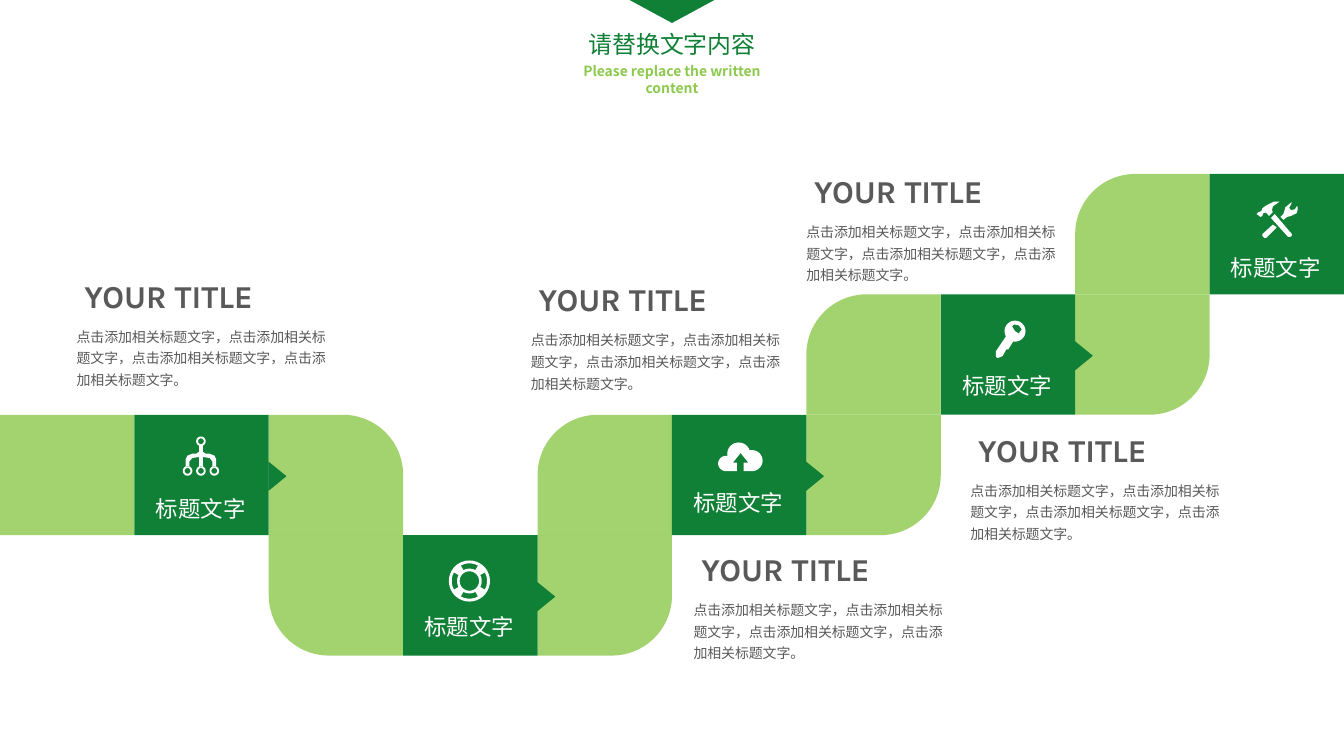
import math
import pptx
import pptx.util
import pptx.dml.color
import pptx.enum.shapes
import pptx.enum.text
import pptx.oxml.ns
import lxml.etree

Inches = pptx.util.Inches
Pt = pptx.util.Pt
qn = pptx.oxml.ns.qn
MSO = pptx.enum.shapes.MSO_SHAPE
ALIGN = pptx.enum.text.PP_ALIGN
ANCHOR = pptx.enum.text.MSO_ANCHOR

W, H = 14.06, 7.91
COL, ROW, TOP = W / 10, 1.26, 1.82
DARK, LIGHT, GREY, WHITE = "108036", "8CC94C", "595959", "FFFFFF"
CJK = "Noto Sans CJK SC"
BODY = "点击添加相关标题文字，" * 3 + "点击添加相关标题文字。"


def col(n):
    return Inches(n * COL)


def row(n):
    return Inches(TOP + n * ROW)


def rgb(value):
    return pptx.dml.color.RGBColor.from_string(value)


def paint(sp, color, alpha=100):
    sp.shadow.inherit = False
    sp.fill.solid()
    sp.fill.fore_color.rgb = rgb(color)
    sp.line.fill.background()
    if alpha < 100:
        clr = sp._element.spPr.find(".//" + qn("a:srgbClr"))
        lxml.etree.SubElement(clr, qn("a:alpha"), val=str(alpha * 1000))


def add_tile(s, c, r, color=DARK, alpha=100):
    sp = s.shapes.add_shape(MSO.RECTANGLE, col(c), row(r), col(1), Inches(ROW))
    paint(sp, color, alpha)


def add_bend(s, c, r, flip):
    sp = s.shapes.add_shape(MSO.ROUND_1_RECTANGLE, col(c), row(r), col(1), Inches(ROW))
    sp.adjustments[0] = 0.5
    paint(sp, LIGHT, 80)
    xfrm = sp._element.spPr.find(qn("a:xfrm"))
    for axis in flip:
        xfrm.set("flip" + axis, "1")


def add_triangle(s, cx, cy, w, h, angle):
    sp = s.shapes.add_shape(MSO.ISOSCELES_TRIANGLE, cx - w // 2, cy - h // 2, w, h)
    sp.rotation = angle
    paint(sp, DARK)


def arc(cx, cy, radius, start, end):
    steps = max(4, int(abs(end - start) / 10))
    angles = [math.radians(start + (end - start) * i / steps) for i in range(steps + 1)]
    return [(cx + radius * math.cos(a), cy + radius * math.sin(a)) for a in angles]


def circle(cx, cy, radius):
    return arc(cx, cy, radius, 0, 360)


def tree_icon():
    half = [(21, 9.5), (21, 16), (24, 18), (28, 18), (33, 20), (35, 24), (35, 31.5),
            (31, 31.5), (31, 26), (28, 22.5), (21, 21.5), (21, 31.5)]
    nodes = [(19, 5), (5, 36), (19, 36), (33, 36)]
    rings = [circle(x, y, radius) for x, y in nodes for radius in (5, 3)]
    return [half + [(38 - x, y) for x, y in reversed(half)]] + rings


def buoy_icon():
    c = 21.5
    slots = [arc(c, c, 18.5, a - 29, a + 29) + arc(c, c, 13, a + 29, a - 29)
             for a in range(0, 360, 90)]
    return [circle(c, c, 21.5), circle(c, c, 10.2)] + slots


def cloud_icon():
    arrow = [(20, 30), (20, 21), (16, 21), (24, 11), (32, 21), (27, 21), (27, 30)]
    return [arc(36, 19, 11, 90, -90) + arc(22, 12, 12, -20, -190)
            + arc(8.5, 22, 8, -80, -270) + arrow]


def key_icon():
    blade = [(0, 33), (0, 39), (2, 40), (5, 39), (7, 38), (11, 31), (13, 31), (18, 23)]
    hole = [(25, 13), (24, 14.5), (20, 12), (17, 7), (19, 5), (24, 6), (27, 10)]
    return [blade + arc(20, 12, 11, 100, -210), hole]


def tools_icon():
    head = [(7, 12), (10, 11.5), (13, 15), (17, 11), (16, 9), (17, 5), (24, 0), (18, 0),
            (10, 4), (6, 7), (5, 10), (2, 11), (0, 13), (4, 16), (6, 15)]
    handle = [(19, 13), (15, 17), (33, 37), (35, 37), (37, 35.5), (37, 34)]
    wrench = [(43, 5), (42, 5), (40, 8), (36, 9), (34, 6.5), (35, 5), (37, 1), (36, 1),
              (30, 6), (29, 10), (28, 13), (25, 16), (28, 19), (32, 16), (36, 15),
              (42, 12), (43, 8)]
    grip = [(6, 34), (6, 36), (8, 38), (10, 38), (21, 27), (17, 24)]
    return [head, handle, wrench, grip]


def add_icon(s, c, r, contours):
    scaled = [[(x * 10, y * 10) for x, y in points] for points in contours]
    fb = s.shapes.build_freeform(*scaled[0][0], scale=914.4)
    for i, points in enumerate(scaled):
        if i:
            fb.move_to(*points[0])
        fb.add_line_segments(points[1:], close=True)
    paint(fb.convert_to_shape(col(c), row(r)), WHITE)


def write(sp, text, size, color, font=CJK, bold=False, align=ALIGN.LEFT,
          spacing=1.0, anchor=ANCHOR.TOP, left=0.1):
    tf = sp.text_frame
    tf.word_wrap = True
    tf.auto_size = pptx.enum.text.MSO_AUTO_SIZE.NONE
    tf.vertical_anchor = anchor
    tf.margin_left, tf.margin_right = Inches(left), Inches(0.1)
    tf.margin_top = tf.margin_bottom = Inches(0.05)
    p = tf.paragraphs[0]
    p.alignment = align
    p.line_spacing = spacing
    r = p.add_run()
    r.text = text
    r.font.size = Pt(size)
    r.font.bold = bold
    r.font.color.rgb = rgb(color)
    r.font.name = font
    lxml.etree.SubElement(r._r.get_or_add_rPr(), qn("a:ea"), typeface=CJK)


def add_text(s, x, y, w, h, text, size, color, **style):
    sp = s.shapes.add_textbox(x, y, Inches(w), Inches(h))
    write(sp, text, size, color, **style)


def add_step(s, c, r, label_drop, icon_at, icon):
    add_tile(s, c, r)
    add_icon(s, *icon_at, icon)
    add_text(s, col(c - 0.04), row(r + label_drop), 1.5, 0.54, "标题文字", 16.9, WHITE,
             font="Arial", align=ALIGN.CENTER, spacing=1.3, anchor=ANCHOR.MIDDLE)
    if c < 9:
        add_triangle(s, col(c + 1) + Inches(0.09), row(r + 0.51),
                     Inches(0.31), Inches(0.19), 90)


def add_note(s, c, r):
    add_text(s, col(c), row(r - 0.39), 3.32, 0.5, "YOUR TITLE", 24, GREY,
             font="Karla", bold=True, left=0.18)
    add_text(s, col(c), row(r), 2.95, 0.79, BODY, 10.5, GREY, spacing=1.3)


def add_heading(s):
    title = s.shapes.title
    title.left, title.top = Inches(W * 0.43), Inches(0.26)
    title.width, title.height = Inches(W * 0.14), Inches(0.4)
    write(title, "请替换文字内容", 18, DARK, align=ALIGN.CENTER)
    add_text(s, Inches(W / 2 - 1.14), Inches(0.61), 2.28, 0.28,
             "Please replace the written content", 10.5, LIGHT, bold=True,
             align=ALIGN.CENTER)
    add_triangle(s, Inches(W / 2), Inches(0.11), Inches(0.96), Inches(0.26), 180)


def main():
    prs = pptx.Presentation()
    prs.slide_width, prs.slide_height = Inches(W), Inches(H)
    s = prs.slides.add_slide(prs.slide_layouts[5])
    add_heading(s)

    add_tile(s, 0, 2, LIGHT, 80)
    for c, r, flip in [(2, 2, ""), (2, 3, "HV"), (4, 2, "H"), (4, 3, "V"),
                       (6, 1, "H"), (6, 2, "V"), (8, 0, "H"), (8, 1, "V")]:
        add_bend(s, c, r, flip)

    for step in [(1, 2, 0.53, (1.36, 2.18), tree_icon()),
                 (3, 3, 0.51, (3.34, 3.21), buoy_icon()),
                 (5, 2, 0.48, (5.34, 2.23), cloud_icon()),
                 (7, 1, 0.51, (7.41, 1.21), key_icon()),
                 (9, 0, 0.53, (9.35, 0.23), tools_icon())]:
        add_step(s, *step)

    for c, r in [(0.5, 1.2), (5.09, 3.47), (3.88, 1.23), (5.93, 0.33), (7.15, 2.48)]:
        add_note(s, c, r)

    prs.save("out.pptx")


if __name__ == "__main__":
    main()
